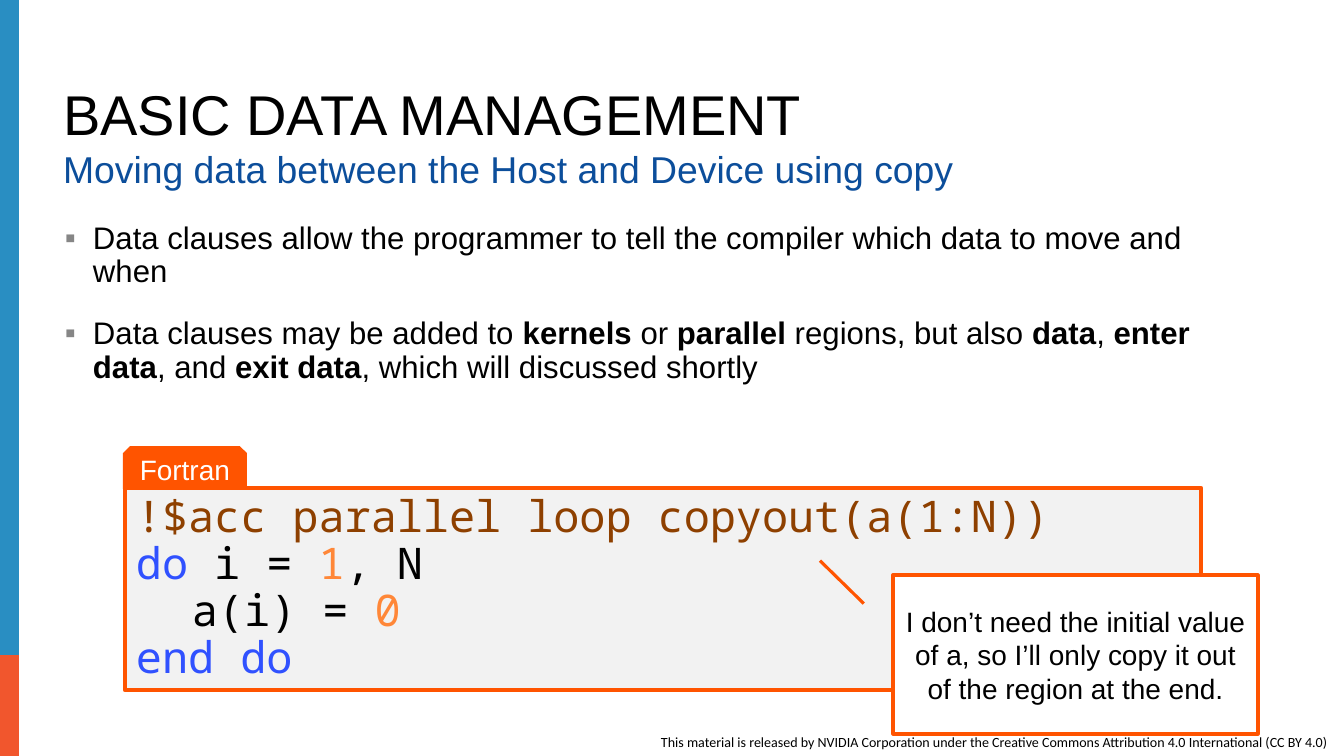
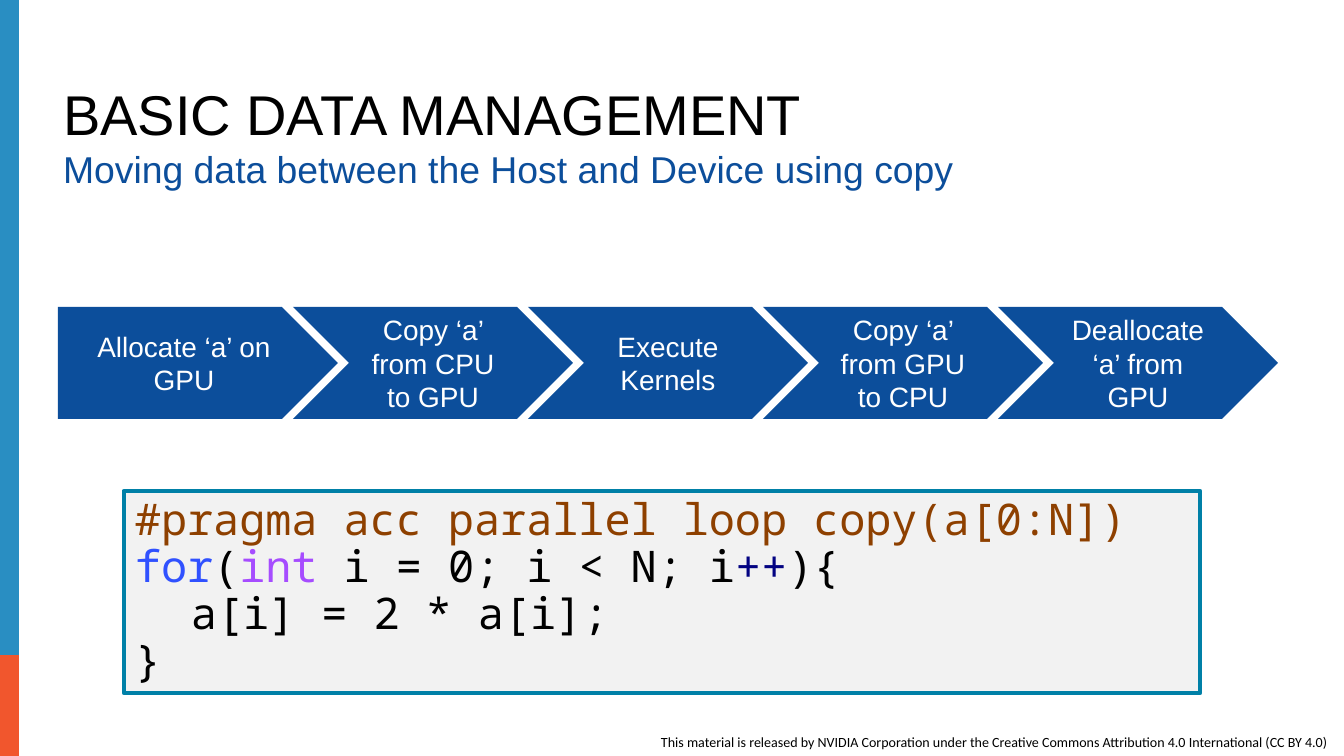
from dataclasses import dataclass

from lxml import etree
from pptx import Presentation
from pptx import util as u
from pptx.dml.color import RGBColor
from pptx.enum import shapes, text
from pptx.oxml.ns import qn


@dataclass(frozen=True)
class Theme:
    black: str = "000000"
    white: str = "FFFFFF"
    navy: str = "0C4E9B"
    sky: str = "298EC2"
    red: str = "F1562D"
    orange: str = "FF5400"
    teal: str = "0080A7"
    code_fill: str = "F2F2F2"
    bullet: str = "868686"
    directive: str = "8E4000"
    keyword: str = "3051FF"
    number: str = "FF8738"
    datatype: str = "A64CFF"
    operator: str = "030382"
    sans: str = "Arial"
    mono: str = "Noto Sans Mono"
    small: str = "Calibri"
    title_pt: int = 36
    sub_pt: int = 24
    code_pt: int = 28
    body_pt: int = 20
    label_pt: int = 18
    foot_pt: int = 9


T = Theme()
MSO = shapes.MSO_SHAPE
LEFT, CENTER = text.PP_ALIGN.LEFT, text.PP_ALIGN.CENTER
TOP, MIDDLE, BOTTOM = text.MSO_ANCHOR.TOP, text.MSO_ANCHOR.MIDDLE, text.MSO_ANCHOR.BOTTOM


def px(*lengths):
    """Pixels at 112 to the inch, as EMU."""
    return [u.Emu(round(n * 914400 / 112)) for n in lengths]


def put(sp, paras=(), fill=None, line=None, width=0, font=T.sans, size=T.label_pt,
        color=T.white, anchor=MIDDLE, **para_format):
    """Style a shape and write its paragraphs, each a list of (text, font overrides)."""
    if sp.shape_type == shapes.MSO_SHAPE_TYPE.AUTO_SHAPE:
        sp.shadow.inherit = False
        sp.fill.solid()
        sp.fill.fore_color.rgb = RGBColor.from_string(fill)
        if line:
            sp.line.color.rgb = RGBColor.from_string(line)
            sp.line.width = u.Pt(width)
        else:
            sp.line.fill.background()
    tf = sp.text_frame
    frame = {"word_wrap": True, "auto_size": text.MSO_AUTO_SIZE.NONE,
             "vertical_anchor": anchor}
    for name, value in frame.items():
        setattr(tf, name, value)
    for i, runs in enumerate(paras):
        p = tf.add_paragraph() if i else tf.paragraphs[0]
        for name, value in para_format.items():
            if i or name != "space_before":
                setattr(p, name, value)
        for words, changes in runs:
            r = p.add_run()
            r.text = words
            look = {"name": font, "size": u.Pt(size), "bold": False, "color": color} | changes
            r.font.color.rgb = RGBColor.from_string(look.pop("color"))
            for name, value in look.items():
                setattr(r.font, name, value)
    return sp


prs = Presentation()
prs.slide_width, prs.slide_height = px(1344, 756)

# Shared parts: side bands, licence line, title and subtitle
FOOTER = ("This material is released by NVIDIA Corporation under the Creative Commons "
          "Attribution 4.0 International (CC BY 4.0)")
slides = []
for _ in range(2):
    s = prs.slides.add_slide(prs.slide_layouts[5])
    for top, height, color in [(568, 188, T.red), (0, 655, T.sky)]:
        put(s.shapes.add_shape(MSO.RECTANGLE, *px(-3, top, 22, height)), fill=color)
    put(s.shapes.add_textbox(*px(650, 728, 757, 28)), [[(FOOTER, {})]],
        font=T.small, size=T.foot_pt, color=T.black, anchor=TOP)
    title = s.shapes.title
    for name, value in zip(("left", "top", "width", "height"), px(52, 80, 1222, 73)):
        setattr(title, name, value)
    put(title, [[("BASIC DATA MANAGEMENT", {})]], size=T.title_pt, color=T.black,
        anchor=BOTTOM, alignment=LEFT, line_spacing=0.9)
    put(s.shapes.add_textbox(*px(52, 146, 1222, 64)),
        [[("Moving data between the Host and Device using copy", {})]],
        size=T.sub_pt, color=T.navy, anchor=TOP, line_spacing=0.9)
    slides.append(s)
clauses, steps = slides

# Run formats
bold = {"bold": True}
directive, keyword, number, datatype, operator = (
    {"color": c} for c in (T.directive, T.keyword, T.number, T.datatype, T.operator))

# Code panels
fortran = [
    [("!$acc parallel loop copyout(a(1:N))", directive)],
    [("do", keyword), (" i = ", {}), ("1", number), (", N", {})],
    [("\ta(i) = ", {}), ("0", number)],
    [("end do", keyword)],
]
c_loop = [
    [("#pragma acc parallel loop copy(a[0:N])", directive)],
    [("for", keyword), ("(", {}), ("int", datatype), (" i = 0; i < N; i", {}),
     ("++", operator), ("){", {})],
    [("\ta[i] = 2 * a[i];", {})],
    [("}", {})],
]
for s, left, top, code, edge in [(clauses, 125, 488, fortran, T.orange),
                                 (steps, 124, 491, c_loop, T.teal)]:
    put(s.shapes.add_shape(MSO.RECTANGLE, *px(left, top, 1076, 202)), code,
        fill=T.code_fill, line=edge, width=3, font=T.mono, size=T.code_pt,
        color=T.black, alignment=LEFT, line_spacing=0.9)

# Language tab on the Fortran panel
put(clauses.shapes.add_shape(MSO.SNIP_2_SAME_RECTANGLE, *px(123, 446, 124, 43)),
    [[("Fortran", {})]], fill=T.orange, alignment=CENTER)

# Bullets
points = [
    [("Data clauses allow the programmer to tell the compiler which data to move and when", {})],
    [("Data clauses may be added to ", {}), ("kernels", bold), (" or ", {}),
     ("parallel", bold), (" regions, but also ", {}), ("data", bold), (", ", {}),
     ("enter data", bold), (", and ", {}), ("exit data", bold),
     (", which will discussed shortly", {})],
]
body = put(clauses.shapes.add_textbox(*px(54, 217, 1220, 214)), points, size=T.body_pt,
           color=T.black, anchor=TOP, line_spacing=0.9, space_before=u.Pt(18))
indent, = px(28)
for p in body.text_frame.paragraphs:
    pPr = p._p.get_or_add_pPr()
    pPr.set("marL", str(indent))
    pPr.set("indent", str(-indent))
    bu_color = etree.SubElement(pPr, qn("a:buClr"))
    etree.SubElement(bu_color, qn("a:srgbClr"), val=T.bullet)
    etree.SubElement(pPr, qn("a:buFont"), typeface=T.sans)
    etree.SubElement(pPr, qn("a:buChar"), char="▪")

# Callout, its pointer given as fractions of its height and width (y, x, y, x)
callout = put(clauses.shapes.add_shape(MSO.LINE_CALLOUT_1, *px(893, 575, 365, 159)),
              [[("I don’t need the initial value of a, so I’ll only copy it out "
                 "of the region at the end.", {})]],
              fill=T.white, line=T.orange, width=2, color=T.black, alignment=CENTER)
for i, value in enumerate((0.18, -0.08, -0.09, -0.2)):
    callout.adjustments[i] = value

# Process arrows
labels = ["Allocate ‘a’ on GPU", "Copy ‘a’ from CPU to GPU", "Execute Kernels",
          "Copy ‘a’ from GPU to CPU", "Deallocate ‘a’ from GPU"]
for i, label in enumerate(labels):
    kind = MSO.CHEVRON if i else MSO.PENTAGON
    put(steps.shapes.add_shape(kind, *px(58 + 235 * i, 307, 280, 112)),
        [[(label, {})]], fill=T.navy, alignment=CENTER)

prs.save("out.pptx")
